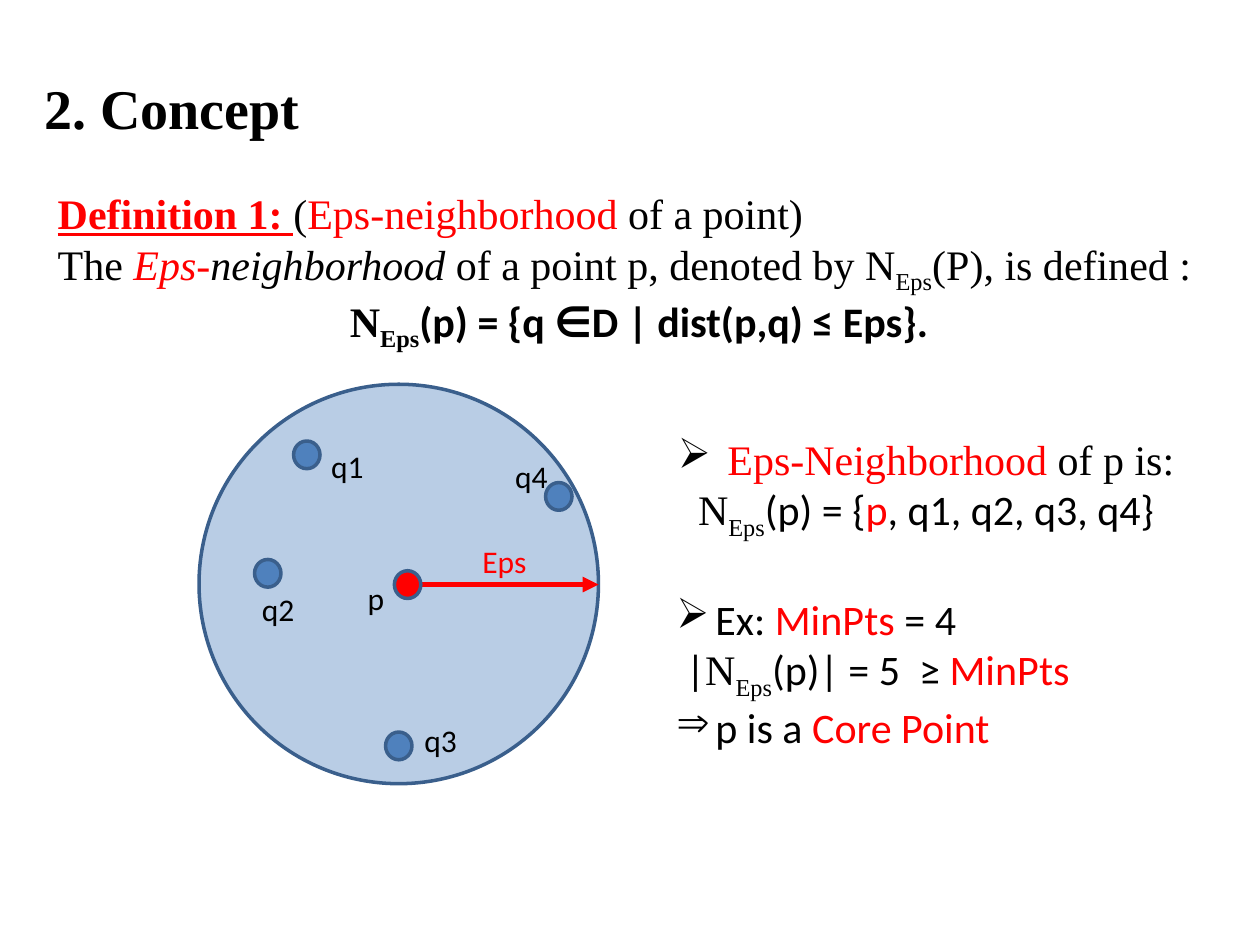
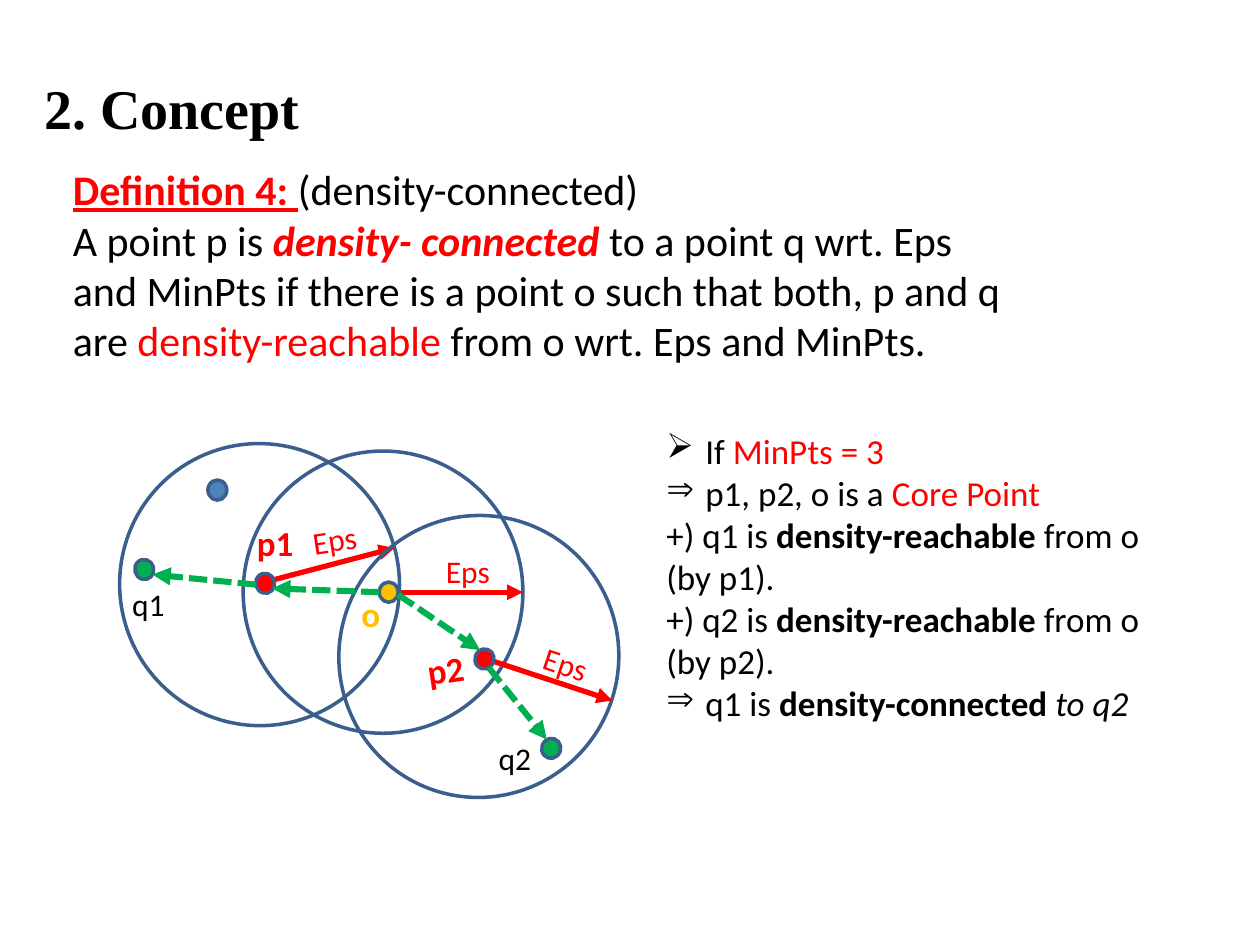
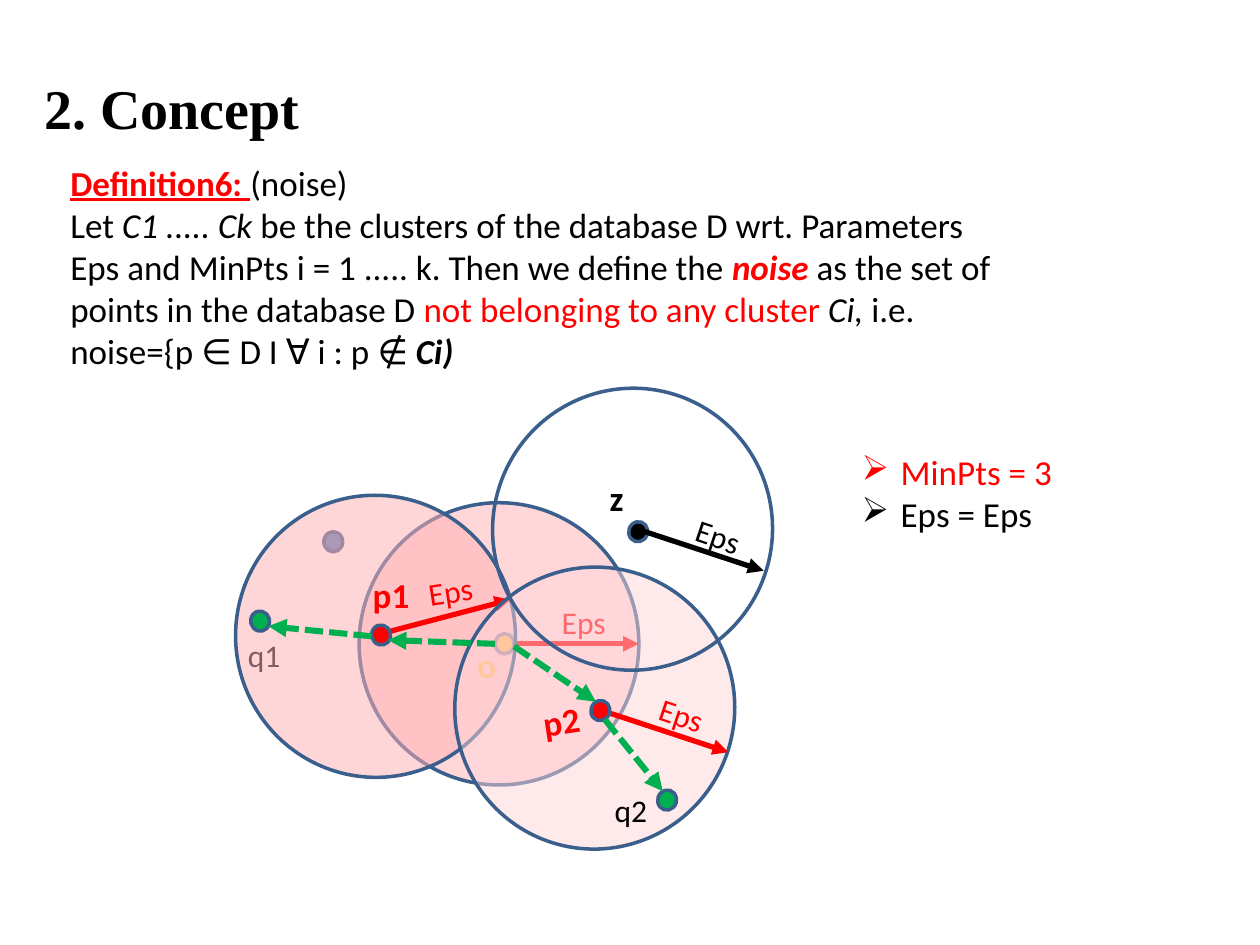
from lxml import etree
from pptx import Presentation
from pptx.dml.color import RGBColor
from pptx.enum import dml, shapes, text
from pptx.oxml import ns
from pptx.util import Inches, Pt

COLORS = {
    "black": "000000", "red": "FF0000", "green": "00B050", "amber": "FFC000",
    "blue": "4F81BD", "outline": "3A5F8C", "pale_blue": "B9CDE5",
    "pink": "FFB1B5", "pale_pink": "FFD6D9",
}
SERIF, SANS = "Times New Roman", "Calibri"
RING, DOT, LARGE_DOT = (2.22, 2.24), (0.15, 0.16), (0.21, 0.22)
HANGING = 0.31


def add_text(slide, box, paragraphs, size, face=SANS, rotation=0, wrap=True, inset=True):
    """Paragraphs are (bullet, centred, runs); a run is (text, style words)."""
    shape = slide.shapes.add_textbox(*[Inches(value) for value in box])
    shape.rotation = rotation
    frame = shape.text_frame
    frame.word_wrap = wrap
    frame.auto_size = text.MSO_AUTO_SIZE.SHAPE_TO_FIT_TEXT
    if not inset:
        frame.margin_left = frame.margin_right = frame.margin_top = frame.margin_bottom = 0
    for index, (bullet, centred, runs) in enumerate(paragraphs):
        paragraph = frame.add_paragraph() if index else frame.paragraphs[0]
        paragraph.alignment = text.PP_ALIGN.CENTER if centred else text.PP_ALIGN.LEFT
        if bullet:
            properties = paragraph._p.get_or_add_pPr()
            properties.set("marL", str(Inches(HANGING)))
            properties.set("indent", str(-Inches(HANGING)))
            etree.SubElement(properties, ns.qn("a:buChar")).set("char", bullet)
        for words, style in runs:
            if words == "\n":
                paragraph.add_line_break()
                continue
            run = paragraph.add_run()
            run.text = words
            marks = style.split()
            color = next((mark for mark in marks if mark in COLORS), "black")
            run.font.name = SERIF if "serif" in marks else SANS if "sans" in marks else face
            run.font.size = Pt(size)
            run.font.bold = "bold" in marks
            run.font.italic = "italic" in marks
            run.font.underline = "underline" in marks
            run.font.color.rgb = RGBColor.from_string(COLORS[color])
            if "sub" in marks:
                run._r.get_or_add_rPr().set("baseline", "-25000")


def draw(slide, parts, shift_x=0, shift_y=0):
    """Draws circles, arrows and labels from back to front."""
    for kind, x, y, *details in parts:
        x, y = x + shift_x, y + shift_y
        if kind == "circle":
            (width, height), rotation, fill, opacity = details
            shape = slide.shapes.add_shape(
                shapes.MSO_SHAPE.OVAL, Inches(x), Inches(y), Inches(width), Inches(height))
            shape.shadow.inherit = False
            shape.rotation = rotation
            shape.line.color.rgb = RGBColor.from_string(COLORS["outline"])
            shape.line.width = Pt(2)
            if fill is None:
                shape.fill.background()
                continue
            shape.fill.solid()
            shape.fill.fore_color.rgb = RGBColor.from_string(COLORS[fill])
            if opacity < 100:
                color = shape._element.spPr.find(ns.qn("a:solidFill"))[0]
                etree.SubElement(color, ns.qn("a:alpha")).set("val", str(opacity * 1000))
        elif kind == "arrow":
            end_x, end_y, color = details
            connector = slide.shapes.add_connector(
                shapes.MSO_CONNECTOR.STRAIGHT, Inches(x), Inches(y),
                Inches(end_x + shift_x), Inches(end_y + shift_y))
            connector.line.color.rgb = RGBColor.from_string(COLORS[color])
            connector.line.width = Pt(3)
            if color == "green":
                connector.line.width = Pt(3.5)
                connector.line.dash_style = dml.MSO_LINE.SQUARE_DOT
            line = connector.line._get_or_add_ln()
            etree.SubElement(line, ns.qn("a:tailEnd")).set("type", "triangle")
            etree.SubElement(connector._element.spPr, ns.qn("a:effectLst"))
        else:
            width, rotation, words, style = details
            size, height = (20, 0.44) if "bold" in style else (18, 0.4)
            add_text(slide, (x, y, width, height), [("", False, [(words, style)])],
                     size, rotation=rotation)


presentation = Presentation()
presentation.slide_width = Inches(10)
presentation.slide_height = Inches(7.5)

# Slides with their shared title
slides = []
for _ in range(3):
    slide = presentation.slides.add_slide(presentation.slide_layouts[6])
    add_text(slide, (0.35, 0.58, 9.3, 0.54), [("", False, [("2. Concept", "bold")])],
             32, SERIF, inset=False)
    slides.append(slide)
neighborhood, connected, noise = slides

# Slide 1: definition
add_text(neighborhood, (0.36, 1.44, 9.5, 1.31), [
    ("", False, [("Definition 1: ", "red bold underline"), ("(", ""),
                 ("Eps-neighborhood", "red"), (" of a point)", "")]),
    ("", False, [("The ", ""), ("Eps-", "red italic"), ("neighborhood ", "italic"),
                 ("of a point p, denoted by N", ""), ("Eps", "sub"),
                 ("(P), is defined :", "")]),
    ("", True, [("N", "bold"), ("Eps", "bold sub"),
                ("(p) = {q ∈D | dist(p,q) ≤ Eps}. ", "bold sans")]),
], 24, SERIF)

# Slide 1: neighborhood of p
draw(neighborhood, [
    ("circle", 1.58, 3.05, (3.17, 3.17), 0, "pale_blue", 100),
    ("arrow", 3.29, 4.64, 4.75, 4.64, "red"),
    ("label", 2.82, 4.55, 0.46, 0, "p", ""),
    ("circle", 2.33, 3.5, LARGE_DOT, 0, "blue", 100),
    ("circle", 3.06, 5.81, LARGE_DOT, 0, "blue", 100),
    ("label", 2.53, 3.5, 0.56, 0, "q1", ""),
    ("circle", 2.02, 4.44, LARGE_DOT, 0, "blue", 100),
    ("circle", 4.33, 3.83, LARGE_DOT, 0, "blue", 100),
    ("label", 1.98, 4.63, 0.56, 0, "q2", ""),
    ("label", 3.27, 5.67, 0.56, 0, "q3", ""),
    ("label", 3.73, 4.25, 0.56, 0, "Eps", "red"),
    ("label", 3.99, 3.58, 0.56, 0, "q4", ""),
    ("circle", 3.13, 4.53, LARGE_DOT, 0, "red", 100),
])

# Slide 1: example
add_text(neighborhood, (5.27, 4.66, 3.47, 1.72), [
    ("➢", False, [("Ex: ", ""), ("MinPts", "red"), (" = 4", "")]),
    ("", False, [(" |", ""), ("N", "serif"), ("Eps", "serif sub"),
                 ("(p)| = 5  ≥ ", ""), ("MinPts", "red")]),
    ("⇒", False, [("p is a ", ""), ("Core Point", "red")]),
], 24, wrap=False)
add_text(neighborhood, (5.26, 3.39, 4.18, 0.91), [
    ("➢", True, [(" ", ""), ("Eps-Neighborhood", "red"), (" of p is:", "")]),
    ("", True, [("N", ""), ("Eps", "sub"), ("(p) = {", "sans"), ("p", "red sans"),
                (", q1, q2, q3, q4}", "sans")]),
], 24, SERIF, wrap=False)

# Slide 2: definition and conclusions
add_text(connected, (0.48, 1.25, 7.58, 1.72), [
    ("", False, [("Definition 4: ", "red bold underline"), ("(density-connected)", "")]),
    ("", False, [("A point p is ", ""), ("density- connected ", "red bold italic"),
                 ("to a point q wrt. Eps and MinPts if there is a point o such that "
                  "both, p and q are ", ""),
                 ("density-reachable", "red"), (" from o wrt. Eps and MinPts.", "")]),
], 24)
reachable = [
    ("", False, [(f"+) q{number} is ", ""), ("density-reachable ", "bold"),
                 ("from o ", ""), ("\n", ""), (f"(by p{number}).", "")])
    for number in (1, 2)]
add_text(connected, (5.19, 3.36, 4.7, 2.46), [
    ("➢", False, [("If ", ""), ("MinPts = 3", "red")]),
    ("⇒", False, [("p1, p2, o is a ", ""), ("Core Point", "red")]),
    *reachable,
    ("⇒", False, [("q1 is ", ""), ("density-connected", "bold"), (" to q2", "italic")]),
], 20)

# Slide 3: definition
add_text(noise, (0.46, 1.23, 7.68, 2.12), [
    ("", False, [("Definition6: ", "red bold underline"), ("(noise)", "")]),
    ("", False, [("Let ", ""), ("C1 ..... Ck ", "italic"),
                 ("be the clusters of the database D wrt. Parameters Eps and "
                  "MinPts i = 1 ..... k. Then we define the ", ""),
                 ("noise ", "red bold italic"),
                 ("as the set of points in the database D ", ""),
                 ("not belonging to any cluster ", "red"), ("Ci, ", "italic"),
                 ("i.e. noise={p ∈ D I ∀ i : p ∉ ", ""), ("Ci)", "bold italic")]),
], 20)

# Slides 2 and 3: the same cluster, shifted and tinted on slide 3
clusters = [
    (connected, 0, 0, None, None),
    (noise, 0.92, 0.41, "pink", "pale_pink"),
]
for slide, shift_x, shift_y, tint, light_tint in clusters:
    draw(slide, [
        # Neighborhood of o
        ("circle", 1.93, 3.58, RING, 0, tint, 50),
        ("arrow", 3.13, 4.7, 4.15, 4.7, "red"),
        ("label", 2.77, 4.65, 0.61, 0, "o", "amber bold"),
        ("circle", 1.65, 3.81, DOT, 0, "blue", 100),
        ("label", 0.95, 4.59, 0.6, 0, "q1", ""),
        ("label", 3.44, 4.33, 0.83, 0, "Eps", "red"),
        ("circle", 3.01, 4.62, DOT, 0, "amber", 100),
        # Neighborhood of p1
        ("circle", 0.95, 3.52, RING, 345, tint, 52),
        ("arrow", 2.14, 4.61, 3.13, 4.35, "red"),
        ("label", 1.94, 4.09, 0.58, 0, "p1", "red bold"),
        ("label", 2.38, 4.06, 0.83, 351.3, "Eps", "red"),
        ("circle", 2.03, 4.55, DOT, 345, "red", 100),
        # Neighborhood of p2
        ("circle", 2.69, 4.09, RING, 18.5, light_tint, 50),
        ("arrow", 3.89, 5.24, 4.86, 5.56, "red"),
        ("label", 3.29, 5.09, 0.58, 351.3, "p2", "red bold"),
        ("circle", 4.3, 5.86, DOT, 18.5, "green", 100),
        ("label", 4.21, 5.11, 0.83, 18.5, "Eps", "red"),
        ("label", 3.86, 5.82, 0.49, 0, "q2", ""),
        ("circle", 3.77, 5.15, DOT, 18.5, "red", 100),
        ("circle", 1.07, 4.44, DOT, 345, "green", 100),
        # Chains from o to q1 and q2
        ("arrow", 2.03, 4.64, 1.21, 4.56, "green"),
        ("arrow", 3.01, 4.7, 2.16, 4.67, "green"),
        ("arrow", 3.16, 4.72, 3.81, 5.16, "green"),
        ("arrow", 3.88, 5.3, 4.34, 5.87, "green"),
    ], shift_x, shift_y)

# Slide 3: noise point z and parameters
draw(noise, [
    ("circle", 3.91, 3.08, RING, 18.5, None, 100),
    ("label", 5.42, 4.1, 0.83, 18.5, "Eps", ""),
    ("circle", 4.99, 4.14, DOT, 18.5, "black", 100),
    ("arrow", 5.09, 4.21, 6.06, 4.53, "black"),
    ("label", 4.74, 3.73, 0.32, 0, "z", "bold"),
])
add_text(noise, (6.74, 3.53, 3.2, 0.77), [
    ("➢", False, [("MinPts = 3", "red")]),
    ("➢", False, [("Eps = Eps", "")]),
], 20)

presentation.save("out.pptx")
